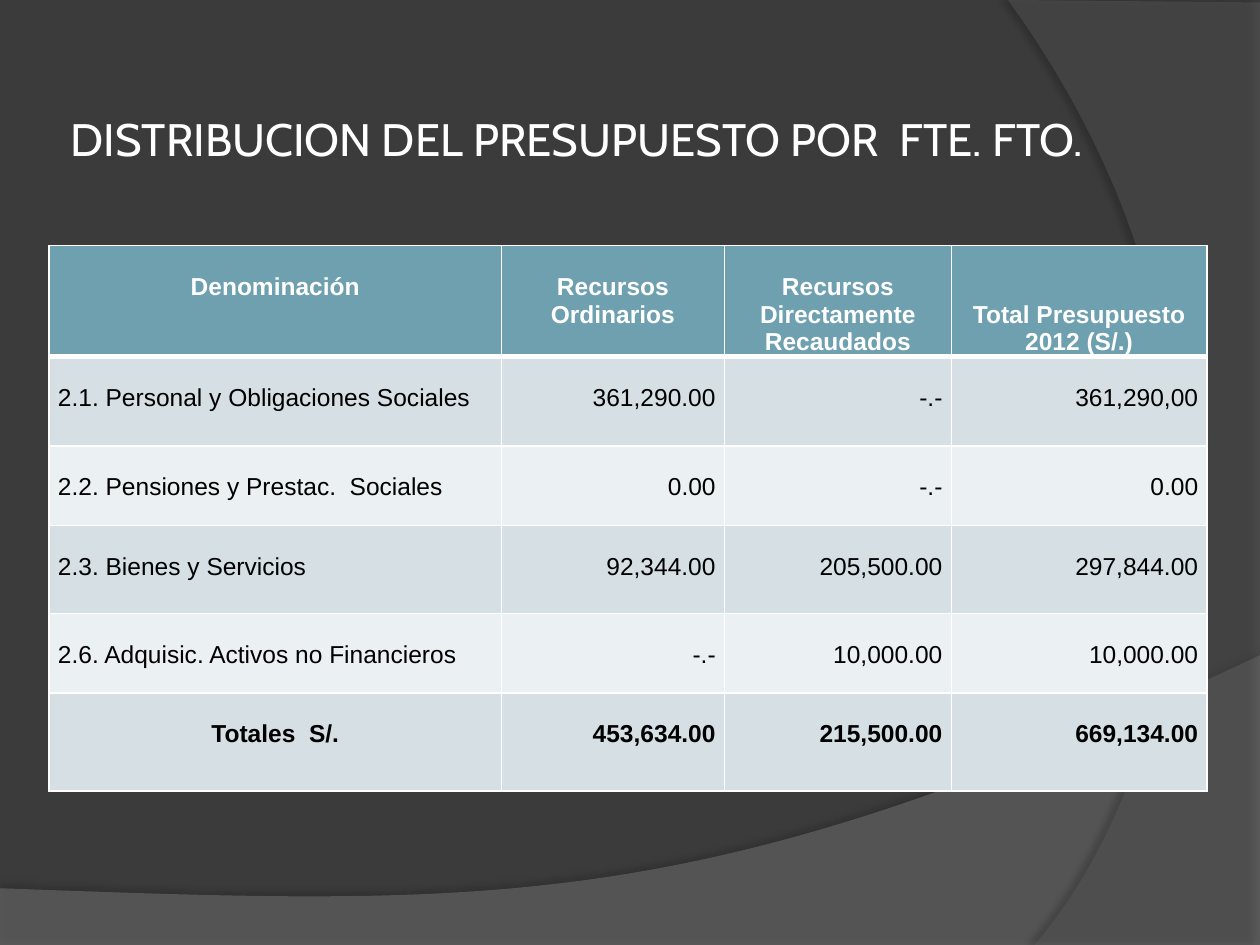
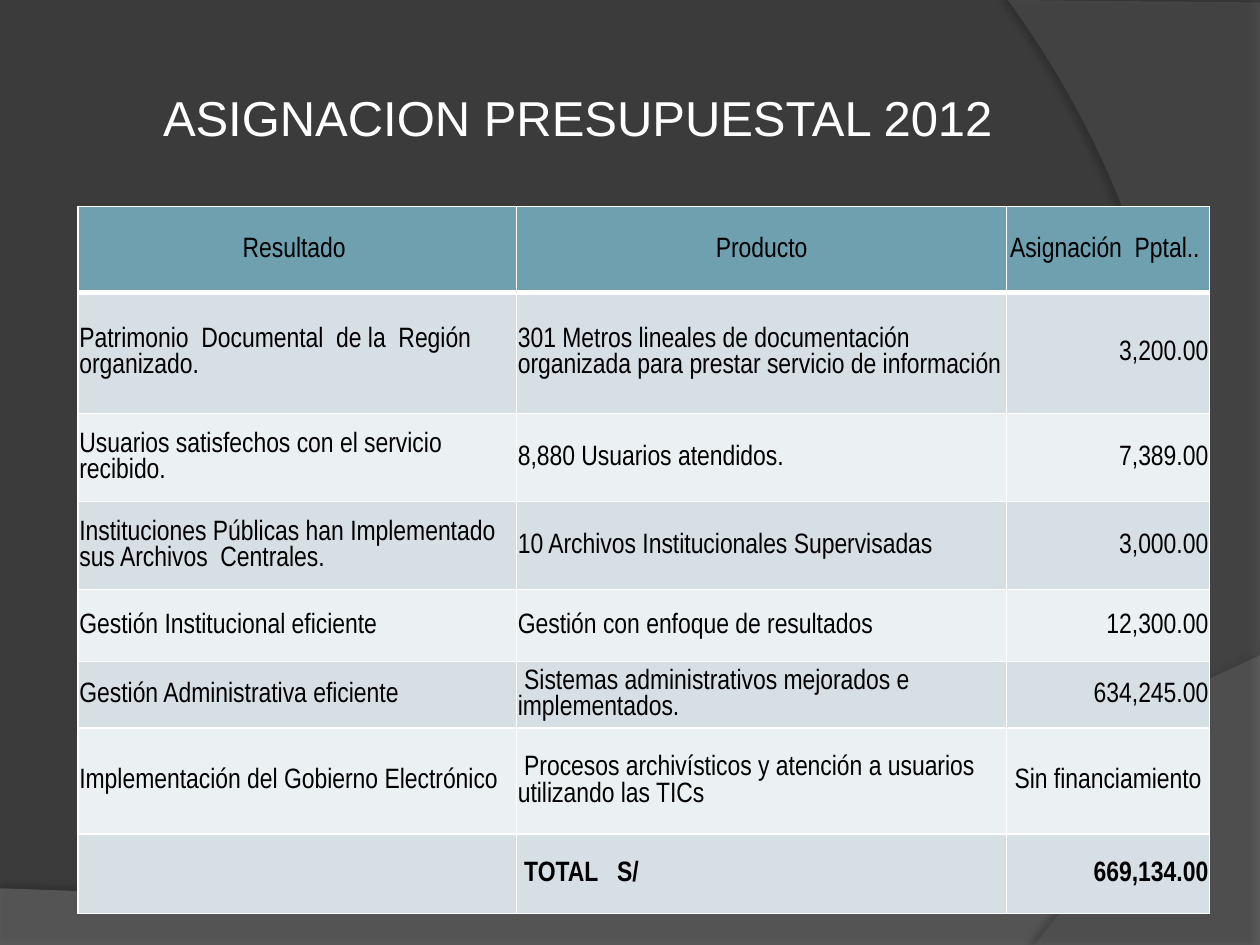
import dataclasses

import lxml.etree
import pptx
import pptx.dml.color
import pptx.enum.text
import pptx.oxml.ns
import pptx.util

Inches = pptx.util.Inches
Pt = pptx.util.Pt
qn = pptx.oxml.ns.qn
ALIGN = pptx.enum.text.PP_ALIGN
ANCHOR = pptx.enum.text.MSO_ANCHOR


@dataclasses.dataclass(frozen=True)
class Theme:
    """Colours, fonts and line widths that the slides share."""
    background: str = "3B3B3B"
    lower_wave: str = "7F7F7F"
    side_wave: str = "5E5E5E"
    shadow: str = "000000"
    light: str = "FFFFFF"
    dark: str = "000000"
    header: str = "6EA0B0"
    bands: tuple = ("D5DFE4", "EBF0F2")
    rule: float = 1
    header_rule: float = 3


@dataclasses.dataclass(frozen=True)
class TableStyle:
    """Type and spacing of one table."""
    font: str
    size: float
    header_color: str
    header_bold: bool
    anchor: ANCHOR
    margins: tuple  # left, top, right, bottom


THEME = Theme()
FUNDING_STYLE = TableStyle("Arial", 14, THEME.light, True, ANCHOR.TOP, (0.07, 0.22, 0.07, 0))
ALLOCATION_STYLE = TableStyle("Arial Narrow", 16, THEME.dark, False, ANCHOR.MIDDLE,
                              (0.01, 0.01, 0.01, 0))

FUNDING = [
    ["Denominación", "Recursos Ordinarios", "Recursos Directamente Recaudados",
     "Total Presupuesto 2012 (S/.)"],
    ["2.1. Personal y Obligaciones Sociales ", "361,290.00", "-.-", "361,290,00"],
    ["2.2. Pensiones y Prestac.  Sociales", "0.00", "-.-", "0.00"],
    ["2.3. Bienes y Servicios", "92,344.00", "205,500.00", "297,844.00"],
    ["2.6. Adquisic. Activos no Financieros", "-.-", "10,000.00", "10,000.00"],
    ["Totales  S/.", "453,634.00", "215,500.00", "669,134.00"],
]
ALLOCATION = [
    ["Resultado ", "Producto", "Asignación  Pptal.. "],
    ["Patrimonio  Documental  de la  Región organizado. ",
     "301 Metros lineales de documentación organizada para prestar servicio de información",
     "3,200.00"],
    ["Usuarios satisfechos con el servicio recibido. ", "8,880 Usuarios atendidos.", "7,389.00"],
    ["Instituciones Públicas han Implementado sus Archivos  Centrales.",
     "10 Archivos Institucionales Supervisadas", "3,000.00"],
    ["Gestión Institucional eficiente ", "Gestión con enfoque de resultados", "12,300.00"],
    ["Gestión Administrativa eficiente",
     " Sistemas administrativos mejorados e implementados.", " 634,245.00"],
    ["Implementación del Gobierno Electrónico",
     " Procesos archivísticos y atención a usuarios utilizando las TICs", "Sin financiamiento"],
    ["", " TOTAL   S/ ", "669,134.00"],
]


def rgb(code):
    """Turn a hex code into a colour."""
    return pptx.dml.color.RGBColor.from_string(code)


def add_node(parent, tag, **attributes):
    """Append a DrawingML element with the given attributes."""
    node = lxml.etree.SubElement(parent, qn(tag))
    for name, value in attributes.items():
        node.set(name, str(value))
    return node


def cubic(start, control1, control2, end, steps=48):
    """Return the points of a Bezier curve after its start."""
    points = []
    for step in range(1, steps + 1):
        t = step / steps
        weights = ((1 - t) ** 3, 3 * t * (1 - t) ** 2, 3 * t * t * (1 - t), t ** 3)
        corners = (start, control1, control2, end)
        points.append(tuple(sum(w * c[axis] for w, c in zip(weights, corners))
                            for axis in (0, 1)))
    return points


def add_wave(layout, slide, points, color, opacity, shadow):
    """Draw a translucent outline and place it at the back of the layout."""
    outline = [(Inches(x), Inches(y)) for x, y in points]
    builder = slide.shapes.build_freeform(*outline[0])
    builder.add_line_segments(outline[1:], close=True)
    wave = builder.convert_to_shape()
    wave.fill.solid()
    wave.fill.fore_color.rgb = rgb(color)
    wave.line.fill.background()
    properties = wave.element.spPr
    fill_color = properties.find(qn("a:solidFill"))[0]
    add_node(fill_color, "a:alpha", val=opacity * 1000)

    shadow_opacity, blur, distance, angle = shadow
    effects = add_node(properties, "a:effectLst")
    outer = add_node(effects, "a:outerShdw", blurRad=Pt(blur), dist=Pt(distance),
                     dir=angle * 60000, algn="ctr", rotWithShape=0)
    shade = add_node(outer, "a:srgbClr", val=THEME.shadow)
    add_node(shade, "a:alpha", val=shadow_opacity * 1000)

    tree = layout.shapes.element
    tree.insert(tree.index(layout.placeholders[0].element), wave.element)


def decorate_layout(layout, slide):
    """Give the shared layout its background and two waves."""
    layout.background.fill.solid()
    layout.background.fill.fore_color.rgb = rgb(THEME.background)
    lower = [(0, 7.05), (0, 7.51), (10, 7.51), (10, 5.2)]
    lower += cubic((10, 5.2), (5.59, 7.29), (3.91, 7.19), (0, 7.05))
    side = [(10, 0.02), (10, 7.5), (8.21, 7.5)]
    side += cubic((8.21, 7.5), (9.35, 6.19), (10.18, 3), (8, 0))
    add_wave(layout, slide, lower, THEME.lower_wave, 45, (35, 4, 3.5, 270))
    add_wave(layout, slide, side, THEME.side_wave, 40, (45, 4, 4, 180))


def set_title(slide, text, top, height, font, size, top_inset=0.05):
    """Place and format the slide title."""
    title = slide.shapes.title
    title.left, title.top = Inches(0.5), Inches(top)
    title.width, title.height = Inches(8.17), Inches(height)
    frame = title.text_frame
    frame.text = text
    frame.word_wrap = True
    frame.auto_size = pptx.enum.text.MSO_AUTO_SIZE.NONE
    frame.vertical_anchor = ANCHOR.MIDDLE
    frame.margin_left = frame.margin_right = frame.margin_bottom = Inches(0.05)
    frame.margin_top = Inches(top_inset)
    heading = frame.paragraphs[0]
    heading.alignment = ALIGN.CENTER
    for run in heading.runs:
        run.font.name, run.font.size = font, Pt(size)
        run.font.color.rgb = rgb(THEME.light)


def set_borders(cell, widths):
    """Draw white cell borders; widths maps each side to points."""
    properties = cell._tc.get_or_add_tcPr()
    for side in "LRTB":
        line = add_node(properties, "a:ln" + side, w=Pt(widths[side]))
        add_node(add_node(line, "a:solidFill"), "a:srgbClr", val=THEME.light)


def format_cell(cell, text, style, row, bold, alignment):
    """Fill one cell with text, colour and borders."""
    header = row == 0
    widths = dict.fromkeys("LRTB", THEME.rule)
    if header:
        widths["B"] = THEME.header_rule
    elif row == 1:
        widths["T"] = THEME.header_rule
    set_borders(cell, widths)
    cell.fill.solid()
    cell.fill.fore_color.rgb = rgb(THEME.header if header else THEME.bands[(row - 1) % 2])
    cell.vertical_anchor = style.anchor
    (cell.margin_left, cell.margin_top,
     cell.margin_right, cell.margin_bottom) = map(Inches, style.margins)
    cell.text_frame.text = text
    paragraph = cell.text_frame.paragraphs[0]
    paragraph.alignment = alignment
    for run in paragraph.runs:
        run.font.name, run.font.size = style.font, Pt(style.size)
        run.font.bold = bold
        run.font.color.rgb = rgb(style.header_color if header else THEME.dark)


def add_budget_table(slide, content, left, top, widths, heights, style, alignments):
    """Add a banded table with a header row and a bold total row."""
    table = slide.shapes.add_table(len(heights), len(widths), Inches(left), Inches(top),
                                   Inches(sum(widths)), Inches(sum(heights))).table
    for column, width in zip(table.columns, widths):
        column.width = Inches(width)
    for table_row, height in zip(table.rows, heights):
        table_row.height = Inches(height)
    last = len(content) - 1
    for row, texts in enumerate(content):
        bold = style.header_bold if row == 0 else row == last
        for column, text in enumerate(texts):
            alignment = ALIGN.CENTER if row == 0 else alignments[column]
            format_cell(table.cell(row, column), text, style, row, bold, alignment)
    return table


def build_funding_slide(slide):
    """Budget by funding source."""
    set_title(slide, "DISTRIBUCION DEL PRESUPUESTO POR  FTE. FTO.",
              0.55, 0.7, "Cabin", 26, top_inset=0.44)
    table = add_budget_table(slide, FUNDING, 0.39, 1.95, [3.59, 1.77, 1.8, 2.03],
                             [0.88, 0.71, 0.63, 0.7, 0.63, 0.78], FUNDING_STYLE,
                             [ALIGN.LEFT] + [ALIGN.RIGHT] * 3)
    table.cell(0, 3).margin_top = Inches(0.44)
    table.cell(5, 0).text_frame.paragraphs[0].alignment = ALIGN.CENTER


def build_allocation_slide(slide):
    """Budget allocation by result and product."""
    set_title(slide, "ASIGNACION PRESUPUESTAL 2012", 0.3, 1.25, "Arial", 28)
    table = add_budget_table(slide, ALLOCATION, 0.62, 1.64, [3.48, 3.89, 1.61],
                             [0.68, 0.96, 0.7, 0.7, 0.57, 0.53, 0.84, 0.63], ALLOCATION_STYLE,
                             [ALIGN.LEFT, ALIGN.LEFT, ALIGN.RIGHT])
    table.cell(6, 2).text_frame.paragraphs[0].alignment = ALIGN.CENTER


def main():
    """Build and save the presentation."""
    deck = pptx.Presentation()
    deck.slide_width, deck.slide_height = Inches(10), Inches(7.5)
    layout = deck.slide_layouts.get_by_name("Title Only")
    funding = deck.slides.add_slide(layout)
    decorate_layout(layout, funding)
    build_funding_slide(funding)
    build_allocation_slide(deck.slides.add_slide(layout))
    deck.save("out.pptx")


main()
